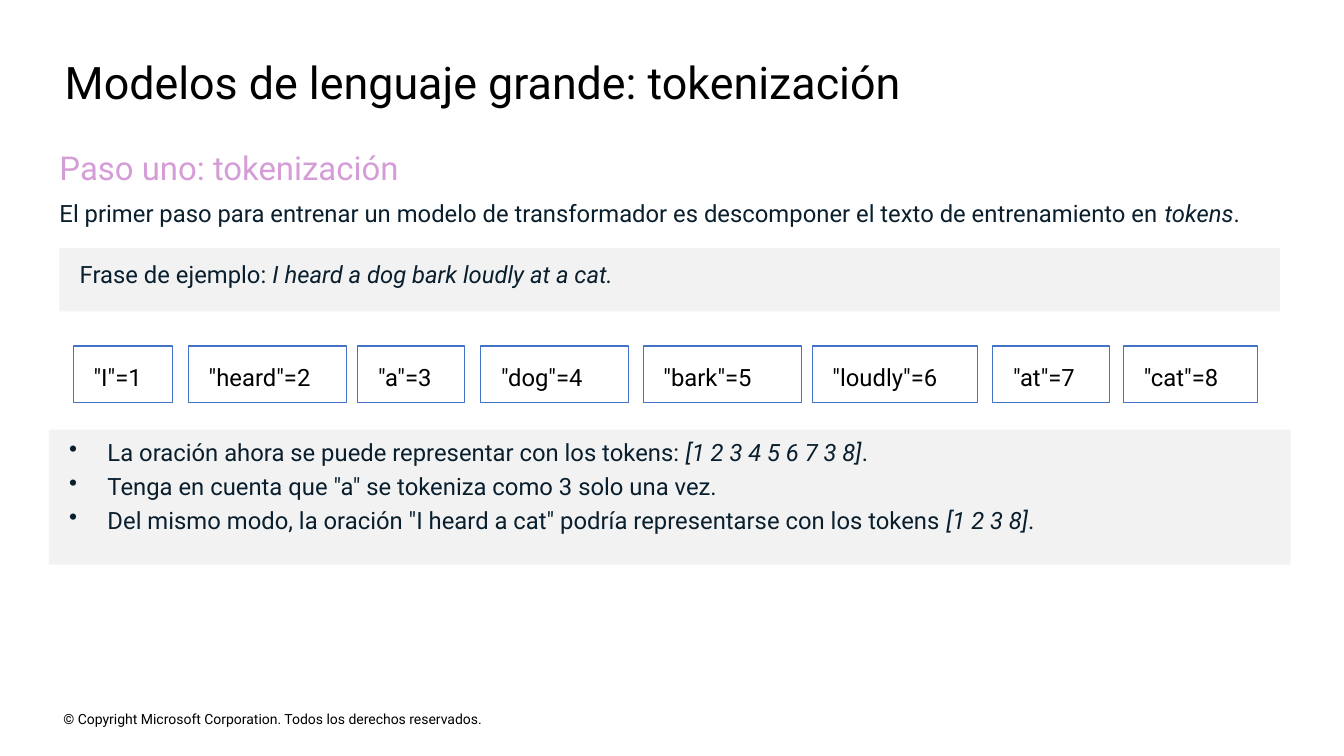
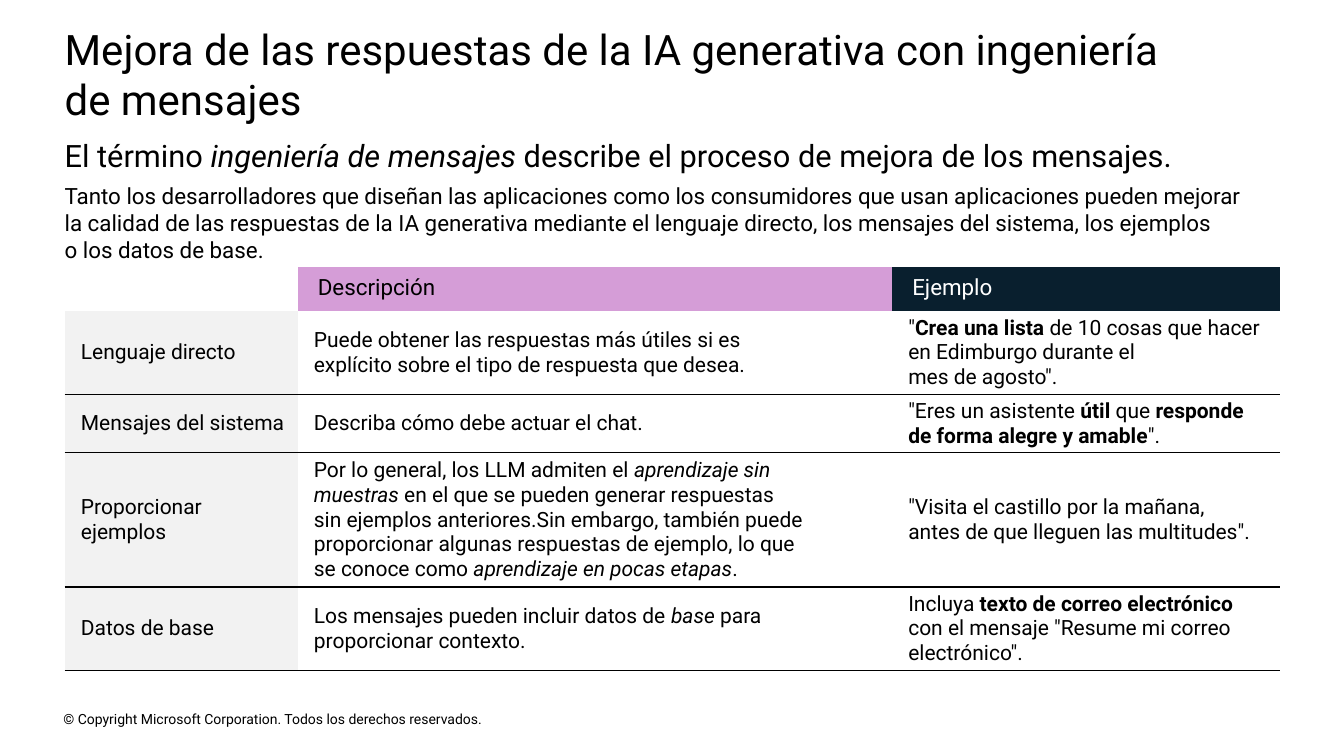
from lxml.etree import SubElement
from pptx import Presentation
from pptx.dml.color import RGBColor
from pptx.enum.shapes import MSO_SHAPE
from pptx.enum.text import MSO_ANCHOR, PP_ALIGN
from pptx.oxml.ns import qn
from pptx.util import Cm, Pt

FONT = "Roboto"
COLORS = {
    "white": "FFFFFF",
    "black": "000000",
    "navy": "091F2E",
    "lilac": "D59DD7",
    "gray": "F2F2F2",
    "blue": "4472C4",
}
COPYRIGHT = "© Copyright Microsoft Corporation. Todos los derechos reservados."
MARGIN = 1.63


def color(name):
    return RGBColor.from_string(COLORS[name])


class Deck:
    """Holds the shared style and the current slide."""

    def __init__(self):
        self.presentation = Presentation()
        self.presentation.slide_width = Cm(33.87)
        self.presentation.slide_height = Cm(19.05)
        self.slide = None

    def new_slide(self, title, top, height, size):
        self.slide = self.presentation.slides.add_slide(self.presentation.slide_layouts[6])
        middle = MSO_ANCHOR.MIDDLE
        self.text((1.6, 17.83, 11.6, 0.56), [(COPYRIGHT, 10, "black", 0)], middle)
        self.text((MARGIN, top, 31.1, height), [(title, size, "black", 0)], middle)

    def paragraph(self, paragraph, text, size, color_name, before=0,
                  emphasis="italic", bullet=False):
        """Write one paragraph; text between asterisks gets the emphasis."""
        paragraph.alignment = PP_ALIGN.LEFT
        paragraph.space_before = Pt(before)
        if bullet:
            properties = paragraph._p.get_or_add_pPr()
            properties.set("marL", str(Cm(0.97)))
            properties.set("indent", str(-Cm(0.97)))
            SubElement(properties, qn("a:buChar"), char="•")
        paragraph.font.name = FONT
        paragraph.font.size = Pt(size)
        paragraph.font.color.rgb = color(color_name)
        for index, piece in enumerate(text.split("*")):
            for line_index, line in enumerate(piece.split("\n")):
                if line_index:
                    paragraph.add_line_break()
                if line:
                    run = paragraph.add_run()
                    run.text = line
                    if index % 2:
                        setattr(run.font, emphasis, True)

    def fill_frame(self, shape, paragraphs, anchor, insets, bullet=False):
        frame = shape.text_frame
        frame.word_wrap = True
        frame.vertical_anchor = anchor
        self.set_insets(frame, insets)
        for index, (text, size, color_name, before) in enumerate(paragraphs):
            paragraph = frame.add_paragraph() if index else frame.paragraphs[0]
            self.paragraph(paragraph, text, size, color_name, before, bullet=bullet)

    def set_insets(self, target, insets):
        for side, inset in zip(("left", "top", "right", "bottom"), insets):
            setattr(target, f"margin_{side}", Cm(inset))

    def text(self, box, paragraphs, anchor=MSO_ANCHOR.TOP):
        shape = self.slide.shapes.add_textbox(*map(Cm, box))
        self.fill_frame(shape, paragraphs, anchor, (0, 0, 0, 0))

    def panel(self, box, paragraphs, insets, fill="gray", line=None, bullet=False):
        shape = self.slide.shapes.add_shape(MSO_SHAPE.RECTANGLE, *map(Cm, box))
        shape.shadow.inherit = False
        shape.fill.solid()
        shape.fill.fore_color.rgb = color(fill)
        if line:
            shape.line.color.rgb = color(line)
            shape.line.width = Pt(0.75)
        else:
            shape.line.fill.background()
        self.fill_frame(shape, paragraphs, MSO_ANCHOR.TOP, insets, bullet)

    def borders(self, cell, ruled_sides):
        properties = cell._tc.get_or_add_tcPr()
        for side in "LRTB":
            line = SubElement(properties, qn(f"a:ln{side}"), w=str(Pt(1)))
            if side in ruled_sides:
                solid = SubElement(line, qn("a:solidFill"))
                SubElement(solid, qn("a:srgbClr"), val=COLORS["black"])
            else:
                SubElement(line, qn("a:noFill"))

    def cell(self, cell, text, size, color_name, fill, insets, ruled_sides, emphasis):
        self.borders(cell, ruled_sides)
        if fill:
            cell.fill.solid()
            cell.fill.fore_color.rgb = color(fill)
        else:
            cell.fill.background()
        self.set_insets(cell, insets)
        cell.vertical_anchor = MSO_ANCHOR.MIDDLE if "B" in ruled_sides else MSO_ANCHOR.TOP
        self.paragraph(cell.text_frame.paragraphs[0], text, size, color_name,
                       emphasis=emphasis)

    def table(self, left, top, widths, heights, rows):
        box = (left, top, sum(widths), sum(heights))
        table = self.slide.shapes.add_table(len(rows), len(widths), *map(Cm, box)).table
        table.first_row = table.horz_banding = False
        for column, width in zip(table.columns, widths):
            column.width = Cm(width)
        for row, height in zip(table.rows, heights):
            row.height = Cm(height)
        header_styles = (("black", None), ("black", "lilac"), ("white", "navy"))
        for row_index, texts in enumerate(rows):
            for column_index, text in enumerate(texts):
                emphasis = "bold" if column_index == 2 else "italic"
                if row_index == 0:
                    size, insets, ruled_sides = 16, (0.51, 0.2, 0.3, 0.2), ""
                    color_name, fill = header_styles[column_index]
                else:
                    size, color_name = 15, "black"
                    fill = None if column_index else "gray"
                    insets = (0.41, 0.1, 0.45 if column_index else 0.3, 0.1)
                    ruled_sides = "TB" if row_index > 1 else "B"
                self.cell(table.cell(row_index, column_index), text, size, color_name,
                          fill, insets, ruled_sides, emphasis)


# Content
TOKENS = [  # word, left, width
    ("I", 1.85, 2.51),
    ("heard", 4.75, 3.99),
    ("a", 9.02, 2.7),
    ("dog", 12.12, 3.73),
    ("bark", 16.21, 3.99),
    ("loudly", 20.47, 4.17),
    ("at", 25.02, 2.95),
    ("cat", 28.32, 3.38),
]
CONCLUSIONS = [
    "La oración ahora se puede representar con los tokens: *[1 2 3 4 5 6 7 3 8]*.",
    'Tenga en cuenta que "a" se tokeniza como 3 solo una vez.',
    'Del mismo modo, la oración "I heard a cat" podría representarse con los tokens '
    "*[1 2 3 8]*.",
]
PROMPT_ROWS = [
    ("", "Descripción", "Ejemplo"),
    ("Lenguaje directo",
     "Puede obtener las respuestas más útiles si es\n"
     "explícito sobre el tipo de respuesta que desea.",
     '"*Crea una lista *de 10 cosas que hacer en Edimburgo durante el\nmes de agosto".'),
    ("Mensajes del sistema",
     "Describa cómo debe actuar el chat.",
     '"Eres un asistente *útil* que *responde de forma alegre y amable*".'),
    ("Proporcionar ejemplos",
     "Por lo general, los LLM admiten el *aprendizaje sin\nmuestras* en el que se pueden "
     "generar respuestas\nsin ejemplos anteriores.Sin embargo, también puede proporcionar "
     "algunas respuestas de ejemplo, lo que\nse conoce como *aprendizaje en pocas etapas*.",
     '"Visita el castillo por la mañana,\nantes de que lleguen las multitudes".'),
    ("Datos de base",
     "Los mensajes pueden incluir datos de *base* para proporcionar contexto.",
     'Incluya *texto de correo electrónico *con el mensaje "Resume mi correo electrónico".'),
]


def build_tokenization(deck):
    deck.new_slide("Modelos de lenguaje grande: tokenización", 1.27, 1.55, 32)
    deck.text((1.5, 3.73, 29.95, 2), [
        ("Paso uno: tokenización", 23.5, "lilac", 0),
        ("El primer paso para entrenar un modelo de transformador es descomponer "
         "el texto de entrenamiento en *tokens*.", 17, "navy", 8),
    ])
    deck.panel((1.5, 6.25, 30.76, 1.6),
               [("Frase de ejemplo: *I heard a dog bark loudly at a cat.*", 17, "navy", 0)],
               (0.51, 0.3, 0.51, 0.3))
    # Numbered tokens
    for number, (word, left, width) in enumerate(TOKENS, 1):
        deck.panel((left, 8.72, width, 1.42), [(f'"{word}"={number}', 17, "black", 0)],
                   (0.51, 0.41, 0.3, 0.41), "white", "blue")
    # Conclusions
    deck.panel((1.23, 10.83, 31.3, 3.4),
               [(text, 17, "navy", 4 if index else 0)
                for index, text in enumerate(CONCLUSIONS)],
               (0.51, 0.2, 0.41, 0.2), bullet=True)


def build_prompt_engineering(deck):
    deck.new_slide("Mejora de las respuestas de la IA generativa con ingeniería\nde mensajes",
                   0.58, 2.57, 30)
    deck.text((MARGIN, 3.45, 30.8, 3.2), [
        ("El término *ingeniería de mensajes* describe el proceso de mejora de los mensajes.",
         22, "black", 0),
        ("Tanto los desarrolladores que diseñan las aplicaciones como los consumidores "
         "que usan aplicaciones pueden mejorar\nla calidad de las respuestas de la IA "
         "generativa mediante el lenguaje directo, los mensajes del sistema, los ejemplos\n"
         "o los datos de base.", 16, "black", 6),
    ])
    deck.table(MARGIN, 6.73, (5.87, 14.98, 9.78), (1.1, 2.11, 1.47, 3.38, 2.11), PROMPT_ROWS)


def main():
    deck = Deck()
    build_tokenization(deck)
    build_prompt_engineering(deck)
    deck.presentation.save("out.pptx")


if __name__ == "__main__":
    main()
